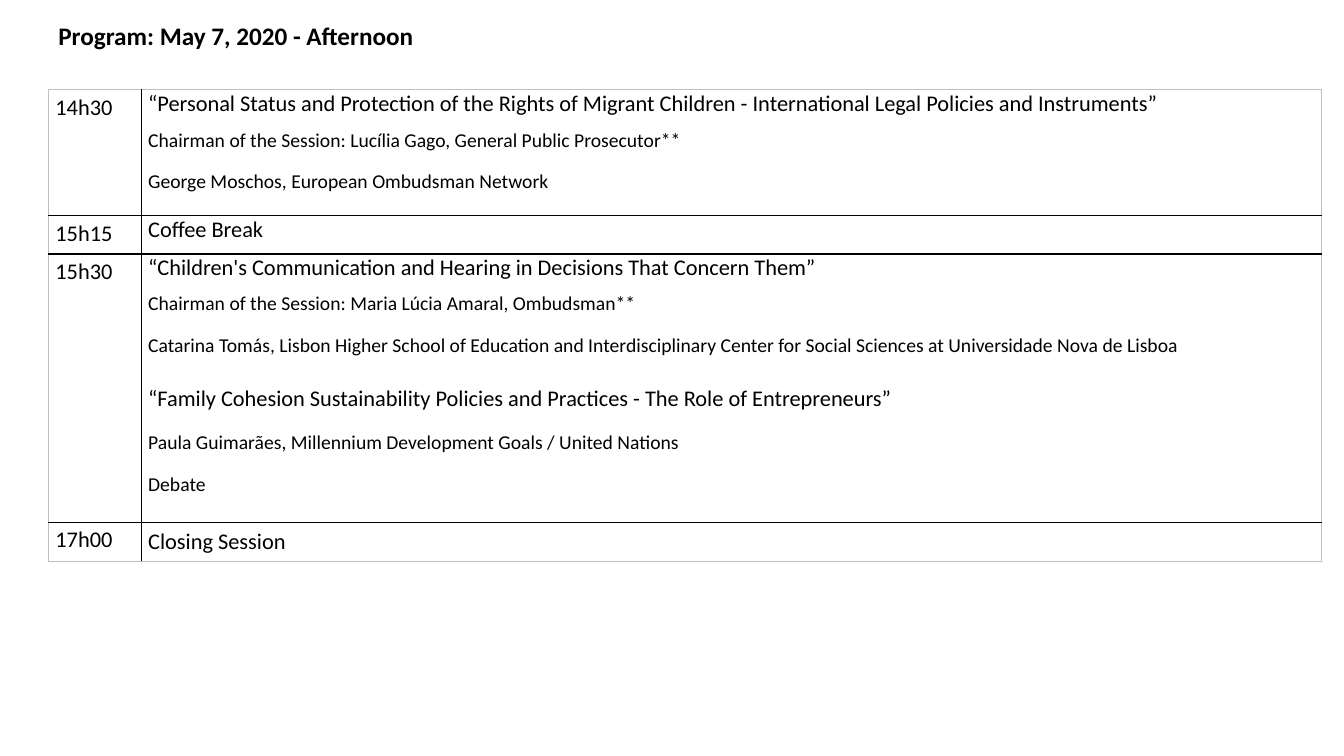
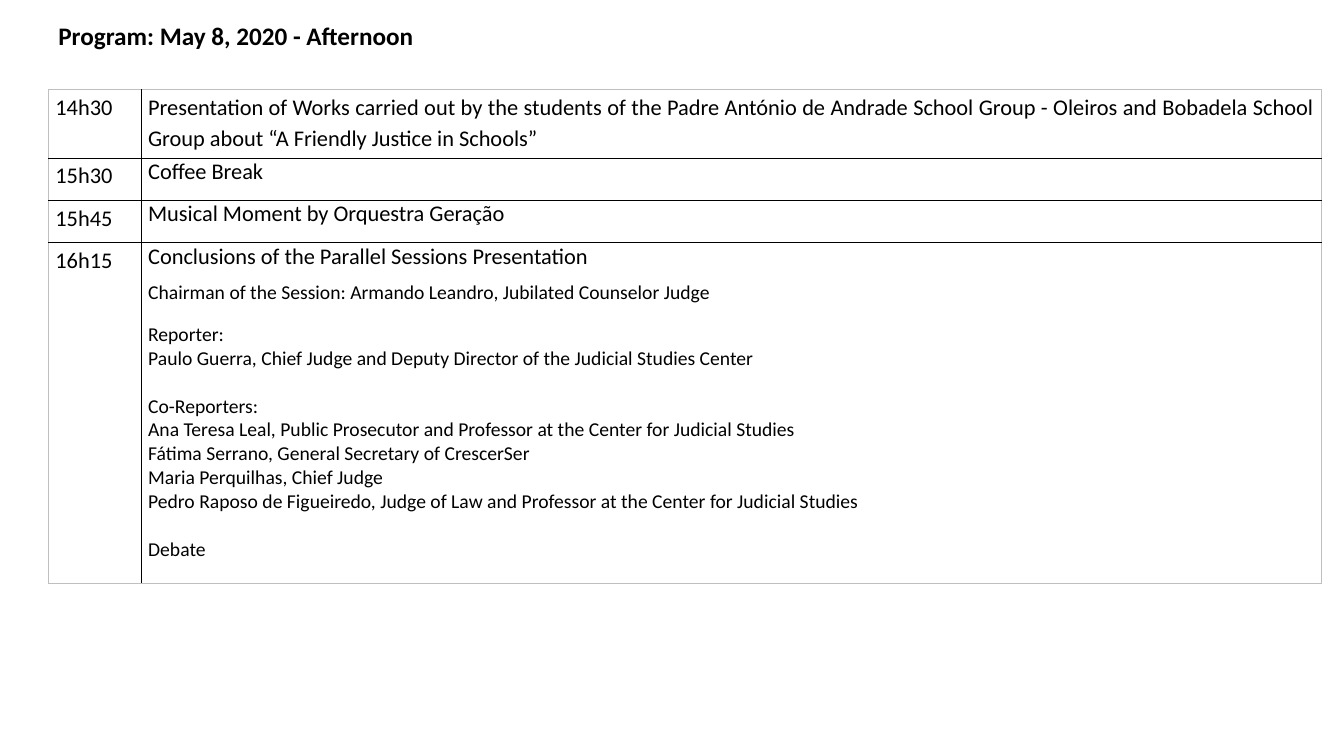
from dataclasses import dataclass

from pptx import Presentation
from pptx.dml.color import RGBColor
from pptx.enum.text import MSO_ANCHOR as ANCHOR, PP_ALIGN as ALIGN
from pptx.oxml import parse_xml
from pptx.oxml.ns import nsdecls
from pptx.util import Inches, Pt

FONT = "Calibri"
BLACK, WHITE, GREY = "000000", "FFFFFF", "BFBFBF"
TITLE_BOX = (0.48, 0.15, 7, 0.4)
AGENDA_LEFT, AGENDA_TOP = 0.48, 0.89
COLUMNS = (0.92, 11.71)
TITLE_SIZE, TOPIC_SIZE, DETAIL_SIZE = 18, 16, 14


@dataclass
class Line:
    text: str
    size: int = DETAIL_SIZE
    gap: float = 0
    justified: bool = False


@dataclass
class Session:
    time: str
    height: float
    lines: list
    anchor: ANCHOR = ANCHOR.TOP


def color(value):
    return RGBColor.from_string(value)


def style(paragraph, size, bold=False):
    for run in paragraph.runs:
        run.font.name = FONT
        run.font.size = Pt(size)
        run.font.bold = bold
        run.font.color.rgb = color(BLACK)


def add_title(slide, box, text):
    title = slide.shapes.add_textbox(*map(Inches, box)).text_frame
    title.word_wrap = True
    title.text = text
    style(title.paragraphs[0], TITLE_SIZE, bold=True)


def set_borders(cell, outer):
    for side in "LRTB":
        shade, width = (GREY, 0.5) if side in outer else (BLACK, 1)
        cell._tc.get_or_add_tcPr().append(parse_xml(
            f'<a:ln{side} {nsdecls("a")} w="{Pt(width)}"><a:solidFill>'
            f'<a:srgbClr val="{shade}"/></a:solidFill></a:ln{side}>'))


def fill_cell(cell, lines, outer, anchor=ANCHOR.TOP):
    set_borders(cell, outer)
    cell.fill.solid()
    cell.fill.fore_color.rgb = color(WHITE)
    cell.margin_left = cell.margin_right = Inches(0.07)
    cell.margin_top = cell.margin_bottom = 0
    cell.vertical_anchor = anchor
    cell.text_frame.text = "\n".join(line.text for line in lines)
    for paragraph, line in zip(cell.text_frame.paragraphs, lines):
        paragraph.space_before = Pt(line.gap)
        if line.justified:
            paragraph.alignment = ALIGN.JUSTIFY
            paragraph.line_spacing = 1.15
        style(paragraph, line.size)


def add_agenda(slide, left, top, sessions):
    height = sum(session.height for session in sessions)
    box = map(Inches, (left, top, sum(COLUMNS), height))
    agenda = slide.shapes.add_table(len(sessions), len(COLUMNS), *box).table
    agenda.first_row = agenda.horz_banding = False
    for column, width in zip(agenda.columns, COLUMNS):
        column.width = Inches(width)
    for index, session in enumerate(sessions):
        agenda.rows[index].height = Inches(session.height)
        edges = ("T" if index == 0 else "") + ("B" if index == len(sessions) - 1 else "")
        time = Line(session.time, TOPIC_SIZE, justified=True)
        fill_cell(agenda.cell(index, 0), [time], edges + "L")
        fill_cell(agenda.cell(index, 1), session.lines, edges + "R", session.anchor)


def add_program(deck, day, sessions):
    slide = deck.slides.add_slide(deck.slide_layouts[6])
    add_agenda(slide, AGENDA_LEFT, AGENDA_TOP, sessions)
    add_title(slide, TITLE_BOX, f"Program: {day} - Afternoon")


def topic(text, gap=0, justified=False):
    return Line(text, TOPIC_SIZE, gap, justified)


PROGRAM = {
    "May 7, 2020": [
        Session("14h30", 1.25, [
            topic("“Personal Status and Protection of the Rights of Migrant Children - "
                  "International Legal Policies and Instruments”"),
            Line("Chairman of the Session: Lucília Gago, General Public Prosecutor**",
                 gap=6, justified=True),
            Line("George Moschos, European Ombudsman Network", gap=12),
        ]),
        Session("15h15", 0.38, [topic("Coffee Break")]),
        Session("15h30", 2.66, [
            topic("“Children's Communication and Hearing in Decisions That Concern Them”"),
            Line("Chairman of the Session: Maria Lúcia Amaral, Ombudsman**", gap=7.5),
            Line("Catarina Tomás, Lisbon Higher School of Education and Interdisciplinary "
                 "Center for Social Sciences at Universidade Nova de Lisboa", gap=13),
            topic("“Family Cohesion Sustainability Policies and Practices - "
                  "The Role of Entrepreneurs”", gap=19.5),
            Line("Paula Guimarães, Millennium Development Goals / United Nations", gap=13),
            Line("Debate", gap=13),
        ]),
        Session("17h00", 0.39, [topic("Closing Session")], ANCHOR.MIDDLE),
    ],
    "May 8, 2020": [
        Session("14h30", 0.68, [
            topic("Presentation of Works carried out by the students of the Padre António "
                  "de Andrade School Group - Oleiros and Bobadela School Group about "
                  "“A Friendly Justice in Schools”", justified=True),
        ]),
        Session("15h30", 0.42, [topic("Coffee Break")]),
        Session("15h45", 0.42, [topic("Musical Moment by Orquestra Geração")]),
        Session("16h15", 3.38, [
            topic("Conclusions of the Parallel Sessions Presentation"),
            Line("Chairman of the Session: Armando Leandro, Jubilated Counselor Judge", gap=7.5),
            Line("Reporter:", gap=13),
            Line("Paulo Guerra, Chief Judge and Deputy Director of the Judicial Studies Center"),
            Line("Co-Reporters:", gap=17),
            Line("Ana Teresa Leal, Public Prosecutor and Professor at the Center for "
                 "Judicial Studies"),
            Line("Fátima Serrano, General Secretary of CrescerSer"),
            Line("Maria Perquilhas, Chief Judge"),
            Line("Pedro Raposo de Figueiredo, Judge of Law and Professor at the Center for "
                 "Judicial Studies"),
            Line("Debate", gap=17),
        ]),
    ],
}

deck = Presentation()
deck.slide_width, deck.slide_height = Inches(13.33), Inches(7.5)
for day, sessions in PROGRAM.items():
    add_program(deck, day, sessions)
deck.save("out.pptx")
